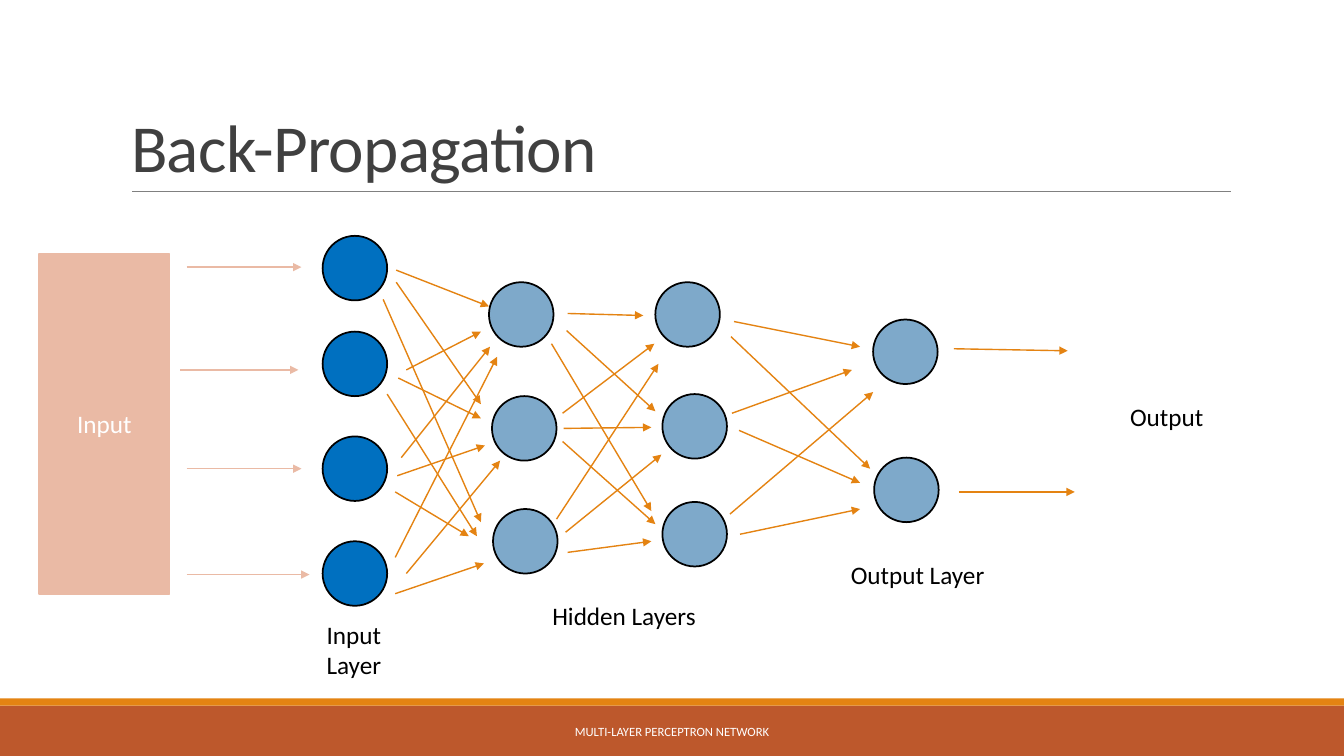
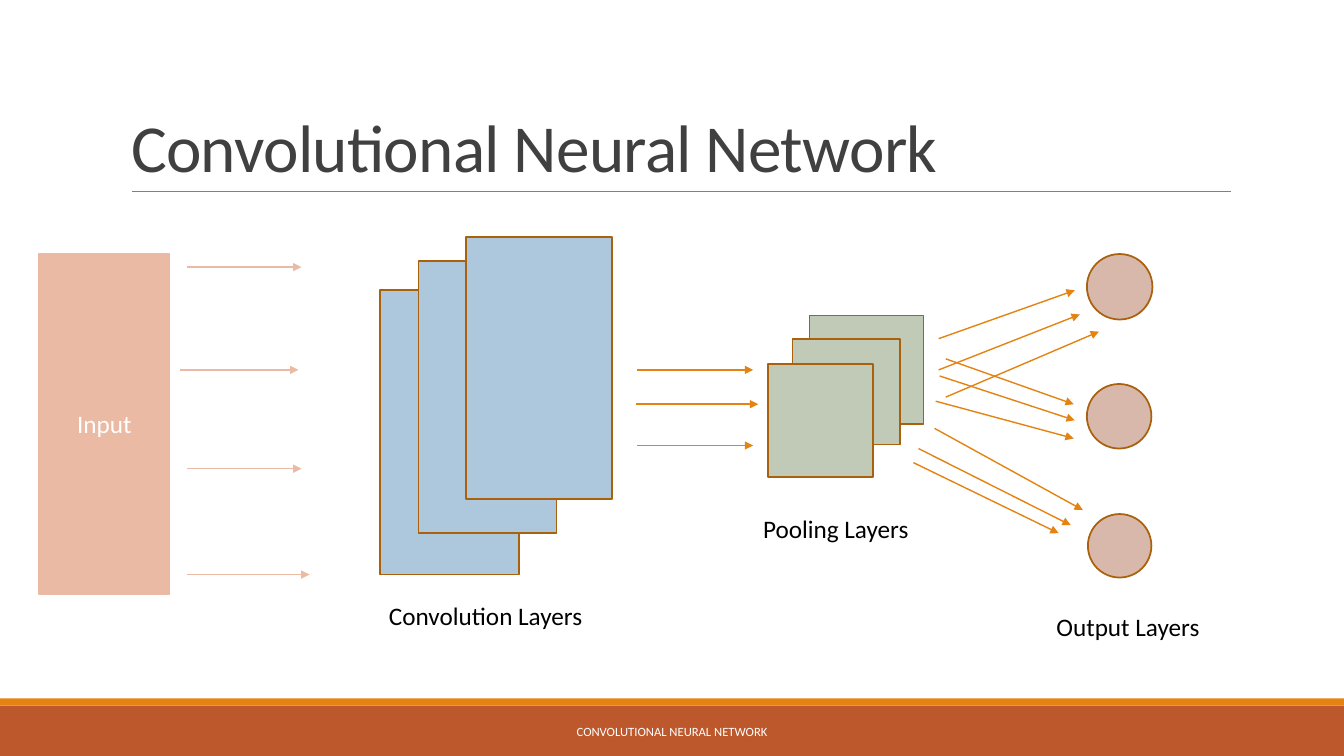
from lxml import etree
from pptx import Presentation
from pptx.dml.color import RGBColor
from pptx.enum.shapes import MSO_CONNECTOR, MSO_SHAPE
from pptx.enum.text import MSO_ANCHOR, MSO_AUTO_SIZE, PP_ALIGN
from pptx.oxml.ns import qn
from pptx.util import Inches, Pt

RECTANGLE, OVAL = MSO_SHAPE.RECTANGLE, MSO_SHAPE.OVAL
STRAIGHT = MSO_CONNECTOR.STRAIGHT
MIDDLE, BOTTOM = MSO_ANCHOR.MIDDLE, MSO_ANCHOR.BOTTOM
LEFT, CENTER = PP_ALIGN.LEFT, PP_ALIGN.CENTER
FIT_NONE, FIT_SHAPE = MSO_AUTO_SIZE.NONE, MSO_AUTO_SIZE.SHAPE_TO_FIT_TEXT

FONT = "Calibri"
ORANGE, RUST, SALMON, BROWN = "E48312", "BD582C", "EABAA5", "A9610D"
BLUE, STEEL, SKY = "0070C0", "7EA9CA", "ADC8DD"
SAGE, BLUSH = "C1CAB6", "D7B8AB"
BLACK, WHITE, DARK, GRAY = "000000", "FFFFFF", "404040", "808080"

SLIDE_WIDTH, SLIDE_HEIGHT = 13.33, 7.5
INPUT_BOX = (0.39, 2.52, 1.29, 3.37)
DIAGRAM_BOX = (3, 2, 10, 5)
NODE_SIZE = 0.64

INPUT_ARROWS = [(1.46, 0.13, 2.6, 0.13), (1.4, 1.15, 2.57, 1.15),
                (1.46, 2.13, 2.6, 2.13), (1.46, 3.18, 2.68, 3.18)]

INPUT_NODES = [(0.2, 0.34), (0.2, 1.29), (0.2, 2.33), (0.2, 3.37)]
LATER_NODES = [(1.85, 0.8), (1.88, 1.93), (1.89, 3.05),
               (3.5, 0.8), (3.57, 1.91), (3.57, 2.98),
               (5.66, 1.17), (5.67, 2.54)]
INPUT_TO_HIDDEN = [
    (0.93, 0.68, 1.85, 1.04), (0.93, 0.8, 1.77, 2.01), (0.8, 0.97, 1.77, 3.18),
    (1.03, 1.67, 1.77, 1.29), (0.95, 1.75, 1.77, 2.15), (0.84, 1.91, 1.73, 3.32),
    (0.98, 2.54, 1.86, 1.44), (0.94, 2.72, 1.81, 2.42), (0.92, 2.88, 1.65, 3.32),
    (0.92, 3.53, 1.93, 1.54), (1.03, 3.69, 1.96, 2.57), (0.92, 3.89, 1.8, 3.59)]
HIDDEN_TO_HIDDEN = [
    (2.63, 1.11, 3.38, 1.13), (2.62, 1.28, 3.5, 2.08), (2.47, 1.41, 3.46, 3.07),
    (2.58, 2.1, 3.49, 1.41), (2.59, 2.25, 3.46, 2.24), (2.58, 2.38, 3.5, 3.2),
    (2.52, 3.15, 3.53, 1.61), (2.61, 3.28, 3.56, 2.51), (2.63, 3.48, 3.46, 3.37)]
HIDDEN_TO_OUTPUT = [
    (4.28, 1.19, 5.53, 1.44), (4.25, 1.34, 5.63, 2.65),
    (4.26, 2.1, 5.45, 1.67), (4.33, 2.27, 5.53, 2.79),
    (4.24, 3.1, 5.66, 1.89), (4.34, 3.3, 5.53, 3.05)]
OUTPUT_ARROWS = [(6.46, 1.46, 7.59, 1.48), (6.51, 2.88, 7.66, 2.88)]
NETWORK_LABELS = [(["Input", "Layer"], (0.14, 4.09, 0.75, 0.71)),
                  (["Hidden Layers"], (2.38, 3.91, 1.64, 0.4)),
                  (["Output Layer"], (5.34, 3.5, 1.54, 0.4)),
                  (["Output"], (8.11, 1.93, 0.94, 0.4))]

CONVOLUTION_SHEETS = [(0.77, 0.88, 1.38, 2.82), (1.15, 0.59, 1.37, 2.7),
                      (1.62, 0.35, 1.45, 2.6)]
POOLING_SHEETS = [(5.03, 1.13, 1.13, 1.08), (4.86, 1.36, 1.07, 1.05),
                  (4.62, 1.61, 1.04, 1.12)]
OUTPUT_NODES = [(7.78, 0.52, 0.65, 0.65), (7.78, 1.81, 0.64, 0.64),
                (7.79, 3.1, 0.63, 0.63)]
TO_POOLING = [(3.32, 1.67, 4.47, 1.67), (3.31, 2.01, 4.52, 2.01),
              (3.32, 2.42, 4.47, 2.42)]
POOLING_TO_OUTPUT = [
    (6.31, 1.36, 7.66, 0.88), (6.31, 1.67, 7.71, 1.12), (6.38, 1.94, 7.9, 1.29),
    (6.38, 1.56, 7.65, 2.01), (6.32, 1.73, 7.66, 2.17), (6.28, 1.98, 7.65, 2.35),
    (6.27, 2.25, 7.74, 3.06), (6.11, 2.45, 7.62, 3.21), (6.06, 2.59, 7.5, 3.29)]
CONVOLUTION_LABELS = [(["Convolution Layers"], (0.76, 3.91, 2.14, 0.4)),
                      (["Pooling Layers"], (4.47, 3.04, 1.66, 0.4)),
                      (["Output Layers"], (7.38, 4.02, 1.64, 0.4))]


def color(value):
    return RGBColor.from_string(value)


def within(box, part):
    return (box[0] + part[0], box[1] + part[1], *part[2:])


def lengths(box):
    return [Inches(value) for value in box]


def write(frame, lines, size, ink, align=LEFT, anchor=None):
    if anchor is not None:
        frame.vertical_anchor = anchor
    for index, line in enumerate(lines):
        para = frame.add_paragraph() if index else frame.paragraphs[0]
        para.alignment = align
        span = para.add_run()
        span.text = line
        span.font.name = FONT
        span.font.size = Pt(size)
        span.font.color.rgb = color(ink)


def add_block(page, kind, box, fill, outline=None):
    block = page.shapes.add_shape(kind, *lengths(box))
    block.shadow.inherit = False
    block.fill.solid()
    block.fill.fore_color.rgb = color(fill)
    if outline:
        block.line.color.rgb = color(outline)
        block.line.width = Pt(1.25)
    else:
        block.line.fill.background()
    return block


def add_line(page, ends, ink, width):
    line = page.shapes.add_connector(STRAIGHT, *lengths(ends))
    line.line.color.rgb = color(ink)
    line.line.width = Pt(width)
    etree.SubElement(line._element.spPr, qn("a:effectLst"))
    return line


def add_arrows(page, box, arrows, ink=ORANGE):
    left, top = box[:2]
    for x1, y1, x2, y2 in arrows:
        ends = (left + x1, top + y1, left + x2, top + y2)
        arrow = add_line(page, ends, ink, 1)
        etree.SubElement(arrow.line._get_or_add_ln(), qn("a:tailEnd"), type="triangle")


def add_labels(page, box, labels):
    for lines, part in labels:
        label = page.shapes.add_textbox(*lengths(within(box, part)))
        label.text_frame.word_wrap = False
        label.text_frame.auto_size = FIT_SHAPE
        write(label.text_frame, lines, 18, BLACK)


def add_page(deck, title, footer):
    page = deck.slides.add_slide(deck.slide_layouts[5])
    add_block(page, RECTANGLE, (0, 7, SLIDE_WIDTH, 0.5), RUST)
    add_block(page, RECTANGLE, (0, 6.93, SLIDE_WIDTH, 0.07), ORANGE)
    add_line(page, (1.31, 1.9, 12.21, 1.9), GRAY, 0.5)

    heading = page.shapes.title
    heading.left, heading.top, heading.width, heading.height = lengths((1.2, 0.31, 11, 1.59))
    frame = heading.text_frame
    frame.auto_size = FIT_NONE
    write(frame, [title], 48, DARK, anchor=BOTTOM)
    para = frame.paragraphs[0]
    para.line_spacing = 0.85
    para.runs[0]._r.get_or_add_rPr().set("spc", "-50")

    note = page.shapes.add_textbox(*lengths((4.03, 7.06, 5.27, 0.4))).text_frame
    note.word_wrap = True
    write(note, [footer], 9, WHITE, CENTER, MIDDLE)
    return page


def add_input(page, box):
    panel = add_block(page, RECTANGLE, box, SALMON, SALMON)
    write(panel.text_frame, ["Input"], 18, WHITE, CENTER, MIDDLE)
    add_arrows(page, box, INPUT_ARROWS, SALMON)


def add_perceptron(page, box):
    for nodes, fill in ((INPUT_NODES, BLUE), (LATER_NODES, STEEL)):
        for node in nodes:
            add_block(page, OVAL, within(box, (*node, NODE_SIZE, NODE_SIZE)), fill, BLACK)
    for arrows in (INPUT_TO_HIDDEN, HIDDEN_TO_HIDDEN, HIDDEN_TO_OUTPUT, OUTPUT_ARROWS):
        add_arrows(page, box, arrows)
    add_labels(page, box, NETWORK_LABELS)


def add_convolution(page, box):
    groups = ((RECTANGLE, CONVOLUTION_SHEETS, SKY), (RECTANGLE, POOLING_SHEETS, SAGE),
              (OVAL, OUTPUT_NODES, BLUSH))
    for kind, parts, fill in groups:
        for part in parts:
            add_block(page, kind, within(box, part), fill, BROWN)
    for arrows in (TO_POOLING, POOLING_TO_OUTPUT):
        add_arrows(page, box, arrows)
    add_labels(page, box, CONVOLUTION_LABELS)


def main():
    deck = Presentation()
    deck.slide_width, deck.slide_height = Inches(SLIDE_WIDTH), Inches(SLIDE_HEIGHT)
    pages = (("Back-Propagation", "MULTI-LAYER PERCEPTRON NETWORK", add_perceptron),
             ("Convolutional Neural Network", "CONVOLUTIONAL NEURAL NETWORK", add_convolution))
    for title, footer, add_diagram in pages:
        page = add_page(deck, title, footer)
        add_input(page, INPUT_BOX)
        add_diagram(page, DIAGRAM_BOX)
    deck.save("out.pptx")


if __name__ == "__main__":
    main()
